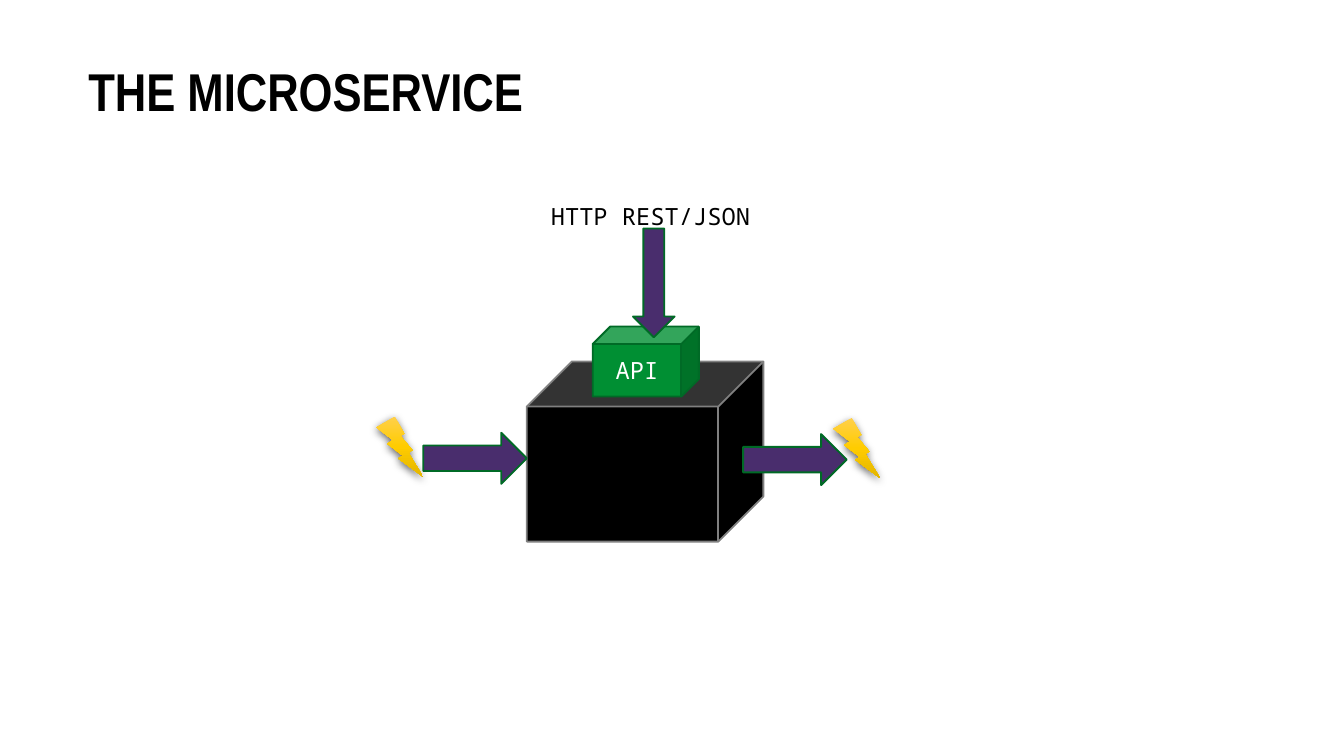
"""Build the slide that shows a microservice as a black box with an API."""
from copy import deepcopy
from pptx import Presentation
from pptx.dml.color import RGBColor
from pptx.enum.shapes import MSO_SHAPE as Kind
from pptx.enum.text import MSO_ANCHOR as Anchor, MSO_AUTO_SIZE as Auto, PP_ALIGN as Align
from pptx.oxml import parse_xml
from pptx.oxml.ns import nsdecls, qn
from pptx.util import Inches, Pt

BLACK = RGBColor(0x00, 0x00, 0x00)
WHITE = RGBColor(0xFF, 0xFF, 0xFF)
GRAY = RGBColor(0x80, 0x80, 0x80)
GREEN = RGBColor(0x00, 0x8F, 0x33)
DARK = RGBColor(0x00, 0x6A, 0x26)
PURPLE = RGBColor(0x49, 0x2D, 0x6D)
GOLDS = [RGBColor(0xFF, 0xD0, 0x4B), RGBColor(0xFF, 0xCC, 0x00), RGBColor(0xE3, 0xB5, 0x00)]
MONO = "Noto Sans Mono"
SHADOW = (
    f'<a:outerShdw {nsdecls("a")} blurRad="57150" dist="19050" dir="5400000" '
    'algn="ctr" rotWithShape="0"><a:srgbClr val="000000">'
    '<a:alpha val="63000"/></a:srgbClr></a:outerShdw>'
)

deck = Presentation()
deck.slide_width = Inches(10)
deck.slide_height = Inches(10) * 9 // 16
slide = deck.slides.add_slide(deck.slide_layouts[6])
shapes = slide.shapes


def add_shape(kind, box, fill=None, line=None):
    shape = shapes.add_shape(kind, *map(Inches, box))
    shape.shadow.inherit = False
    if fill is not None:
        shape.fill.solid()
        shape.fill.fore_color.rgb = fill
    if line is None:
        shape.line.fill.background()
    else:
        shape.line.color.rgb = line
        shape.line.width = Pt(1)
    return shape


def add_text(shape, text, size, font, color):
    par = shape.text_frame.paragraphs[0]
    run = par.add_run()
    run.text = text
    run.font.size = Pt(size)
    run.font.name = font
    run.font.color.rgb = color
    return par, run


title = shapes.add_textbox(*map(Inches, (0.56, 0.48, 7.43, 0.78)))
title.text_frame.word_wrap = True
par, run = add_text(title, "THE MICROSERVICE", 28.5, "Arial Narrow", BLACK)
par.line_spacing = 0.8
run.font.bold = True

add_shape(Kind.CUBE, (3.92, 2.69, 1.76, 1.34), BLACK, GRAY)
api = add_shape(Kind.CUBE, (4.41, 2.43, 0.79, 0.52), GREEN, DARK)
api.text_frame.vertical_anchor = Anchor.MIDDLE
par, run = add_text(api, "API", 12.7, MONO, WHITE)
par.alignment = Align.CENTER

add_shape(Kind.DOWN_ARROW, (4.71, 1.7, 0.31, 0.81), PURPLE, DARK)
label = shapes.add_textbox(*map(Inches, (4, 1.45, 1.71, 0.31)))
label.text_frame.word_wrap = False
label.text_frame.auto_size = Auto.SHAPE_TO_FIT_TEXT
add_text(label, "HTTP REST/JSON", 12.7, MONO, BLACK)

for left, top, side, high in [(5.53, 3.23, 6.2, 3.11), (3.15, 3.22, 2.8, 3.1)]:
    add_shape(Kind.RIGHT_ARROW, (left, top, 0.77, 0.38), PURPLE, DARK)
    bolt = add_shape(Kind.LIGHTNING_BOLT, (side, high, 0.35, 0.45))
    bolt.fill.gradient()
    bolt.fill.gradient_angle = 270
    props = bolt.element.spPr
    stops = props.find(".//" + qn("a:gsLst"))
    stops.append(deepcopy(stops[0]))
    for stop, color, place in zip(bolt.fill.gradient_stops, GOLDS, (0, 0.5, 1)):
        stop.color.rgb = color
        stop.position = place
    props.find(qn("a:effectLst")).append(parse_xml(SHADOW))

deck.save("out.pptx")
